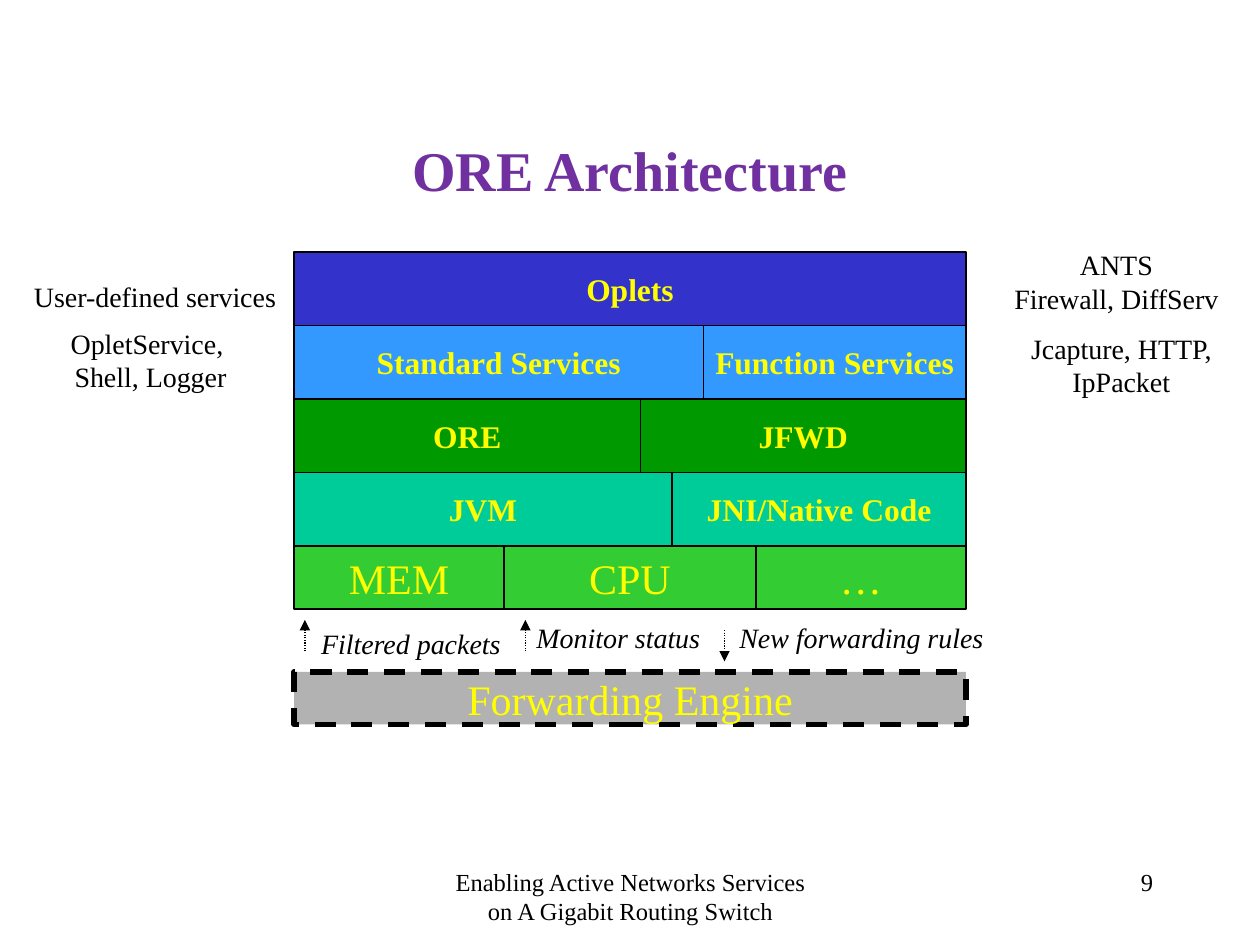
"""Build the ORE Architecture slide: a layered stack above a forwarding engine."""
from dataclasses import dataclass

import lxml.etree
import pptx
import pptx.dml.color
import pptx.enum.dml
import pptx.enum.shapes
import pptx.enum.text
import pptx.oxml.ns
import pptx.util

Inches = pptx.util.Inches
ALIGN = pptx.enum.text.PP_ALIGN
ANCHOR = pptx.enum.text.MSO_ANCHOR
DASH = pptx.enum.dml.MSO_LINE

FONT = "Times New Roman"
COLORS = {
    "black": "000000",
    "title": "7030A0",
    "block_text": "FFFF00",
    "oplets": "3333CC",
    "services": "3399FF",
    "runtime": "009900",
    "java": "00CC99",
    "hardware": "33CC33",
    "engine": "B2B2B2",
}
GRID = 1 / 12
STACK_LEFT = 28 * GRID
STACK_TOP = 2
STACK_WIDTH = 64 * GRID


@dataclass
class TextStyle:
    size: float
    color: str = "black"
    bold: bool = False
    italic: bool = False
    align: ALIGN = ALIGN.CENTER
    anchor: ANCHOR = ANCHOR.TOP
    wrap: bool = False
    margin: float = 0.1
    spacing: float | None = None


@dataclass
class Layer:
    color: str
    height: int
    style: TextStyle
    blocks: list[tuple[str, int]]


@dataclass
class Label:
    text: str
    left: float
    top: float
    width: float
    height: float
    style: TextStyle


@dataclass
class Arrow:
    x: float
    start: float
    end: float


BLOCK = TextStyle(18, "block_text", bold=True, anchor=ANCHOR.MIDDLE)
LARGE_BLOCK = TextStyle(24, "block_text", anchor=ANCHOR.MIDDLE)
TITLE = TextStyle(32, "title", bold=True, anchor=ANCHOR.BOTTOM, wrap=True,
                  margin=0.05, spacing=0.93)
SIDE = TextStyle(16, anchor=ANCHOR.MIDDLE)
FLOW = TextStyle(16, italic=True, align=ALIGN.LEFT)
FOOTER = TextStyle(14, wrap=True)
NUMBER = TextStyle(14, align=ALIGN.RIGHT, wrap=True)

LAYERS = [
    Layer("oplets", 7, BLOCK, [("Oplets", 64)]),
    Layer("services", 7, BLOCK, [("Standard Services", 39), ("Function Services", 25)]),
    Layer("runtime", 7, BLOCK, [("ORE", 33), ("JFWD", 31)]),
    Layer("java", 7, BLOCK, [("JVM", 36), ("JNI/Native Code", 28)]),
    Layer("hardware", 6, LARGE_BLOCK, [("MEM", 20), ("CPU", 24), ("…", 20)]),
]
LABELS = [
    Label("ORE Architecture", 0, 0.94, 10, 0.73, TITLE),
    Label("User-defined services", 0.17, 2.17, 2.12, 0.36, SIDE),
    Label("OpletService, \nShell, Logger", 0.46, 2.54, 1.47, 0.63, SIDE),
    Label("ANTS\nFirewall, DiffServ", 7.95, 1.92, 1.82, 0.63, SIDE),
    Label("Jcapture, HTTP,\nIpPacket", 8.07, 2.58, 1.66, 0.63, SIDE),
    Label("Filtered packets", 2.45, 4.92, 1.63, 0.37, FLOW),
    Label("Monitor status", 4.16, 4.88, 1.5, 0.37, FLOW),
    Label("New forwarding rules", 5.77, 4.88, 2.14, 0.37, FLOW),
    Label("Enabling Active Networks Services on A Gigabit Routing Switch",
          3.42, 6.83, 3.17, 0.5, FOOTER),
    Label("9", 7.17, 6.83, 2.08, 0.5, NUMBER),
]
ARROWS = [Arrow(2.42, 5.17, 4.92), Arrow(4.17, 5.17, 4.92), Arrow(5.75, 5, 5.25)]


def rgb(name: str) -> pptx.dml.color.RGBColor:
    """Return the named colour."""
    return pptx.dml.color.RGBColor.from_string(COLORS[name])


def write_text(shape, text: str, style: TextStyle) -> None:
    """Fill a shape with styled text."""
    frame = shape.text_frame
    frame.text = text
    frame.word_wrap = style.wrap
    frame.vertical_anchor = style.anchor
    frame.margin_left = frame.margin_right = Inches(style.margin)
    frame.margin_top = frame.margin_bottom = Inches(0.05)
    for paragraph in frame.paragraphs:
        paragraph.alignment = style.align
        if style.spacing:
            paragraph.line_spacing = style.spacing
        for run in paragraph.runs:
            run.font.name = FONT
            run.font.size = pptx.util.Pt(style.size)
            run.font.bold = style.bold
            run.font.italic = style.italic
            run.font.color.rgb = rgb(style.color)


def add_label(slide, label: Label) -> None:
    """Add a text box."""
    shape = slide.shapes.add_textbox(Inches(label.left), Inches(label.top),
                                     Inches(label.width), Inches(label.height))
    write_text(shape, label.text, label.style)


def add_block(slide, label: Label, color: str, line_width: float = 1,
              dash: DASH | None = None) -> None:
    """Add an outlined rectangle with text."""
    shape = slide.shapes.add_shape(
        pptx.enum.shapes.MSO_SHAPE.RECTANGLE, Inches(label.left), Inches(label.top),
        Inches(label.width), Inches(label.height))
    shape.shadow.inherit = False
    shape.fill.solid()
    shape.fill.fore_color.rgb = rgb(color)
    shape.line.color.rgb = rgb("black")
    shape.line.width = pptx.util.Pt(line_width)
    if dash:
        shape.line.dash_style = dash
    write_text(shape, label.text, label.style)


def add_stack(slide, layers: list[Layer]) -> None:
    """Stack the layers downwards, with their blocks side by side."""
    top = STACK_TOP
    for layer in layers:
        left = STACK_LEFT
        height = layer.height * GRID
        for text, columns in layer.blocks:
            width = columns * GRID
            add_block(slide, Label(text, left, top, width, height, layer.style), layer.color)
            left += width
        top += height


def add_arrow(slide, arrow: Arrow) -> None:
    """Add a dotted vertical arrow."""
    connector = slide.shapes.add_connector(
        pptx.enum.shapes.MSO_CONNECTOR.STRAIGHT, Inches(arrow.x), Inches(arrow.start),
        Inches(arrow.x), Inches(arrow.end))
    connector.line.color.rgb = rgb("black")
    connector.line.width = pptx.util.Pt(0.75)
    connector.line.dash_style = DASH.ROUND_DOT
    properties = connector.element.spPr
    outline = properties.find(pptx.oxml.ns.qn("a:ln"))
    lxml.etree.SubElement(outline, pptx.oxml.ns.qn("a:tailEnd"), type="triangle")
    lxml.etree.SubElement(properties, pptx.oxml.ns.qn("a:effectLst"))


def main() -> None:
    """Build and save the presentation."""
    presentation = pptx.Presentation()
    presentation.slide_width = Inches(10)
    presentation.slide_height = Inches(7.5)
    slide = presentation.slides.add_slide(presentation.slide_layouts[6])
    add_stack(slide, LAYERS)
    engine = Label("Forwarding Engine", STACK_LEFT, 64 * GRID, STACK_WIDTH, 5 * GRID, LARGE_BLOCK)
    add_block(slide, engine, "engine", 3, DASH.DASH)
    for label in LABELS:
        add_label(slide, label)
    for arrow in ARROWS:
        add_arrow(slide, arrow)
    presentation.save("out.pptx")


if __name__ == "__main__":
    main()
